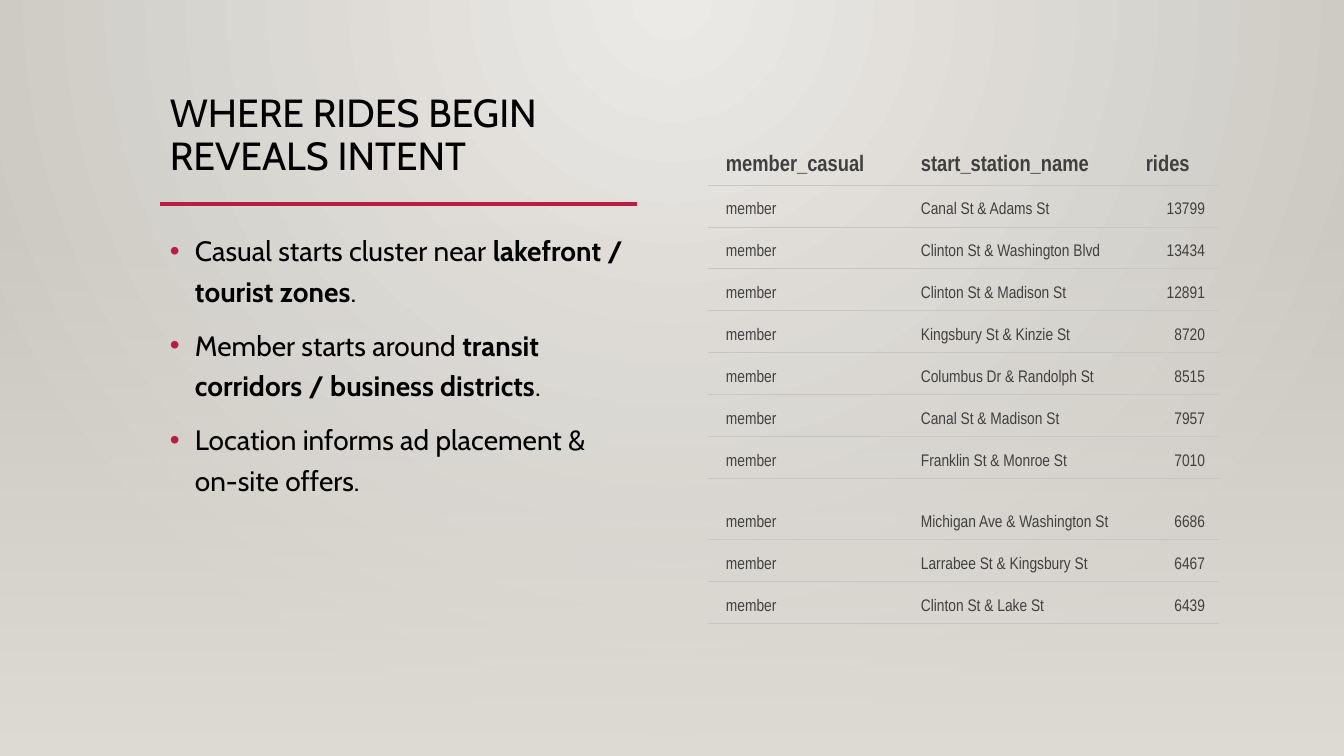
from lxml import etree
from pptx import Presentation
from pptx.dml.color import RGBColor
from pptx.enum.shapes import MSO_CONNECTOR, MSO_SHAPE
from pptx.enum.text import MSO_ANCHOR, PP_ALIGN
from pptx.oxml import parse_xml
from pptx.oxml.ns import nsdecls, qn
from pptx.util import Pt

RECT = MSO_SHAPE.RECTANGLE
STRAIGHT = MSO_CONNECTOR.STRAIGHT
TOP, BOTTOM = MSO_ANCHOR.TOP, MSO_ANCHOR.BOTTOM
LEFT, RIGHT = PP_ALIGN.LEFT, PP_ALIGN.RIGHT

# Content
TITLE = "WHERE RIDES BEGIN REVEALS INTENT"
BULLETS = [  # (plain, bold, plain)
    ("Casual starts cluster near ", "lakefront / tourist zones", "."),
    ("Member starts around ", "transit corridors / business districts", "."),
    ("Location informs ad placement & on-site offers.", "", ""),
]
HEADER = ("member_casual", "start_station_name", "rides")
STATIONS = [
    ("Canal St & Adams St", 13799),
    ("Clinton St & Washington Blvd", 13434),
    ("Clinton St & Madison St", 12891),
    ("Kingsbury St & Kinzie St", 8720),
    ("Columbus Dr & Randolph St", 8515),
    ("Canal St & Madison St", 7957),
    ("Franklin St & Monroe St", 7010),
    ("Michigan Ave & Washington St", 6686),
    ("Larrabee St & Kingsbury St", 6467),
    ("Clinton St & Lake St", 6439),
]

# Style and layout, in px
SLIDE_W, SLIDE_H = 1344, 756
TEXT_X, TEXT_W = 160, 477
TABLE_X, TABLE_Y = 708, 136
COL_WIDTHS = [195, 225, 91]
HEADER_H, ROW_H, TALL_ROW_H, TALL_ROW = 49, 42, 61, 8
TEXT_FONT, TABLE_FONT = "Cabin", "Arial Narrow"
BLACK, GREY, ACCENT, RULE = "000000", "404040", "B71E42", "C7C6C1"
NO_GRID_STYLE = "{2D5ABB26-0587-4C30-8999-92F81FD0307C}"
RADIAL = ('<a:path path="circle">'
          '<a:fillToRect l="43000" t="0" r="43000" b="100000"/></a:path>')
DOWNWARD = '<a:lin ang="5400000" scaled="0"/>'


def px(n):
    return round(n * 914400 / 100.8)


def rgb(color):
    return RGBColor.from_string(color)


def style(r, font, size, color, bold=False):
    r.font.name, r.font.size, r.font.bold = font, Pt(size), bold
    r.font.color.rgb = rgb(color)


def gradient_rect(y, h, stops, direction):
    """Full-width rectangle; stops are (colour, opacity in percent)."""
    sp = s.shapes.add_shape(RECT, 0, px(y), px(SLIDE_W), px(h))
    sp.shadow.inherit = False
    sp.line.fill.background()
    sp.fill.solid()
    marks = "".join(
        f'<a:gs pos="{i * 100000}"><a:srgbClr val="{color}">'
        f'<a:alpha val="{opacity * 1000}"/></a:srgbClr></a:gs>'
        for i, (color, opacity) in enumerate(stops))
    solid = sp.element.spPr.find(qn("a:solidFill"))
    solid.getparent().replace(solid, parse_xml(
        f'<a:gradFill {nsdecls("a")} rotWithShape="1">'
        f'<a:gsLst>{marks}</a:gsLst>{direction}</a:gradFill>'))


def text_frame(y, h):
    tf = s.shapes.add_textbox(px(TEXT_X), px(y), px(TEXT_W), px(h)).text_frame
    tf.word_wrap = True
    tf.vertical_anchor = TOP
    return tf


def add_bullet(p):
    pPr = p._p.get_or_add_pPr()
    pPr.set("marL", str(px(25)))
    pPr.set("indent", str(-px(25)))
    color = etree.SubElement(pPr, qn("a:buClr"))
    etree.SubElement(color, qn("a:srgbClr"), val=ACCENT)
    etree.SubElement(pPr, qn("a:buFont"), typeface="Arial")
    etree.SubElement(pPr, qn("a:buChar"), char="•")


def fill_cell(cell, text, size, bold, align):
    cell.text_frame.text = text
    cell.vertical_anchor = BOTTOM
    cell.margin_left, cell.margin_right = px(18), px(14)
    cell.margin_top = cell.margin_bottom = px(9)
    p = cell.text_frame.paragraphs[0]
    p.alignment = align
    style(p.runs[0], TABLE_FONT, size, GREY, bold)
    cell.fill.background()
    cell._tc.get_or_add_tcPr().insert(0, parse_xml(
        f'<a:lnB {nsdecls("a")} w="{Pt(0.75)}"><a:solidFill>'
        f'<a:srgbClr val="{RULE}"/></a:solidFill></a:lnB>'))


prs = Presentation()
prs.slide_width, prs.slide_height = px(SLIDE_W), px(SLIDE_H)
s = prs.slides.add_slide(prs.slide_layouts[6])

# Backdrop
gradient_rect(0, SLIDE_H, [("ECEAE7", 100), ("CAC7C1", 100)], RADIAL)

# Title
tf = text_frame(89, 116)
tf.text = TITLE
p = tf.paragraphs[0]
p.line_spacing = 0.9
style(p.runs[0], TEXT_FONT, 28, BLACK)

# Rule under the title
rule = s.shapes.add_connector(
    STRAIGHT, px(TEXT_X), px(204), px(TEXT_X + TEXT_W), px(204))
rule.line.color.rgb = rgb(ACCENT)
rule.line.width = Pt(2.5)
etree.SubElement(rule.element.spPr, qn("a:effectLst"))

# Lower tint
gradient_rect(223, SLIDE_H - 223, [("DFDBD5", 0), ("DFDBD5", 100)], DOWNWARD)

# Bullets
tf = text_frame(222, 450)
for i, parts in enumerate(BULLETS):
    p = tf.paragraphs[0] if i == 0 else tf.add_paragraph()
    p.line_spacing = 1.2
    p.space_before = Pt(10)
    add_bullet(p)
    for j, part in enumerate(parts):
        if part:
            r = p.add_run()
            r.text = part
            style(r, TEXT_FONT, 20, BLACK, bold=j == 1)

# Table of stations
rows = [HEADER] + [("member", name, str(rides)) for name, rides in STATIONS]
heights = [HEADER_H] + [ROW_H] * len(STATIONS)
heights[TALL_ROW] = TALL_ROW_H
frame = s.shapes.add_table(len(rows), len(HEADER), px(TABLE_X), px(TABLE_Y),
                           px(sum(COL_WIDTHS)), px(sum(heights)))
table = frame.table
table.horz_banding = False
table._tbl.tblPr.find(qn("a:tableStyleId")).text = NO_GRID_STYLE
for column, width in zip(table.columns, COL_WIDTHS):
    column.width = px(width)
for i, (row, height) in enumerate(zip(rows, heights)):
    table.rows[i].height = px(height)
    head = i == 0
    for j, text in enumerate(row):
        align = RIGHT if j == 2 and not head else LEFT
        fill_cell(table.cell(i, j), text, 16 if head else 12, head, align)

prs.save("out.pptx")
